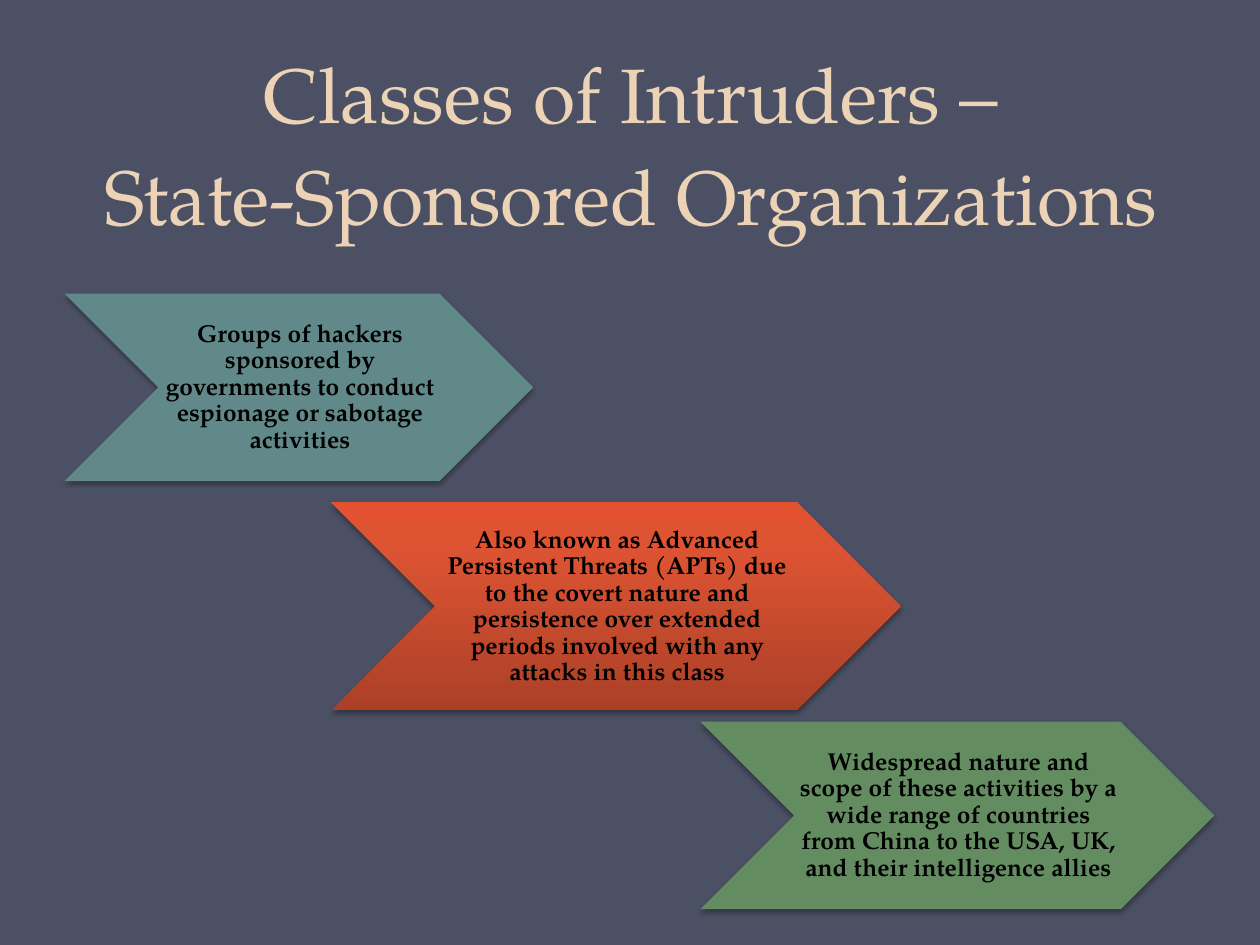
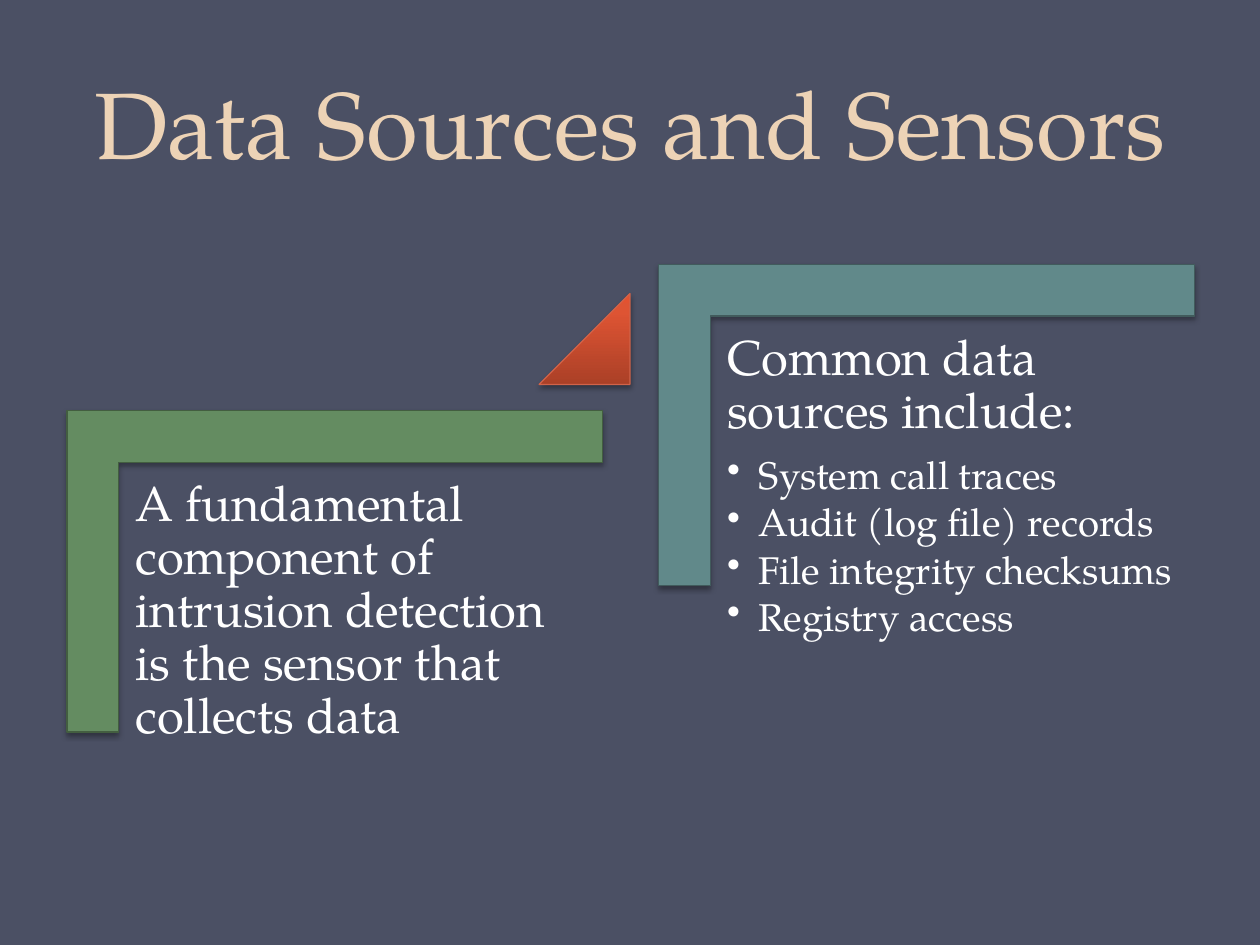
from copy import deepcopy

from lxml.etree import SubElement
from pptx import Presentation
from pptx.dml.color import RGBColor
from pptx.enum.shapes import MSO_SHAPE
from pptx.enum.text import MSO_ANCHOR, PP_ALIGN
from pptx.oxml.ns import qn
from pptx.util import Cm, Pt

FONT = "TeX Gyre Pagella"
HUES = {
    "back": "4B5064",
    "title": "EDD3B6",
    "teal": "61898A",
    "teal edge": "415B5C",
    "green": "648C61",
    "green edge": "435E40",
    "red edge": "D16349",
    "black": "000000",
    "white": "FFFFFF",
}
REDS = [(0, "AB4027"), (0.8, "DE5433"), (1, "E35230")]


def hue(name):
    return RGBColor.from_string(HUES[name])


def style(para, size, color, bold=False):
    font = para.font
    font.name, font.size, font.bold = FONT, Pt(size), bold
    font.color.rgb = hue(color)


def inset(frame, left, top, right, base):
    frame.margin_left, frame.margin_top = Cm(left), Cm(top)
    frame.margin_right, frame.margin_bottom = Cm(right), Cm(base)
    frame.word_wrap = True


def shade(shape):
    shape.shadow.inherit = False
    glow = SubElement(
        shape._element.spPr.find(qn("a:effectLst")), qn("a:outerShdw"),
        blurRad=str(Pt(3.1)), dist=str(Pt(1.8)), dir="5400000", rotWithShape="0")
    tint = SubElement(glow, qn("a:srgbClr"), val=HUES["black"])
    SubElement(tint, qn("a:alpha"), val="35000")


def blend(shape):
    fill = shape.fill
    fill.gradient()
    fill.gradient_angle = 90
    stops = shape._element.spPr.find(".//" + qn("a:gsLst"))
    stops.append(deepcopy(stops[-1]))
    for stop, (place, color) in zip(fill.gradient_stops, REDS):
        stop.position = place
        stop.color.rgb = RGBColor.from_string(color)


def draw(slide, kind, box, color, edge=None):
    shape = slide.shapes.add_shape(kind, *map(Cm, box))
    if color == "red":
        blend(shape)
    else:
        shape.fill.solid()
        shape.fill.fore_color.rgb = hue(color)
    if edge:
        shape.line.color.rgb = hue(edge)
        shape.line.width = Pt(0.75)
    else:
        shape.line.fill.background()
    shade(shape)
    return shape


def start(deck, text, box, size):
    slide = deck.slides.add_slide(deck.slide_layouts[5])
    title = slide.shapes.title
    title.left, title.top, title.width, title.height = map(Cm, box)
    frame = title.text_frame
    frame.text = text
    frame.word_wrap = True
    frame.vertical_anchor = MSO_ANCHOR.BOTTOM
    para = frame.paragraphs[0]
    para.alignment = PP_ALIGN.CENTER
    para.line_spacing = Pt(58)
    style(para, size, "title")
    return slide


def arrow(slide, box, color, text):
    frame = draw(slide, MSO_SHAPE.CHEVRON, box, color).text_frame
    inset(frame, 0.05, 0.03, 0, 0.03)
    frame.vertical_anchor = MSO_ANCHOR.MIDDLE
    para = frame.paragraphs[0]
    para.text = text
    para.alignment = PP_ALIGN.CENTER
    para.line_spacing = 0.9
    style(para, 14, "black", True)


def panel(slide, box, color, head, items=()):
    left, top, width, height = box
    turn = (width - height) / 2
    frame_box = (left + turn, top - turn, height, width)
    bar = draw(slide, MSO_SHAPE.CORNER, frame_box, color, color + " edge")
    bar.rotation = 90
    bar.adjustments[0] = bar.adjustments[1] = 0.161

    gap = 1.08
    area = (left + gap, top + gap, width - gap + 0.03, 8.53)
    frame = slide.shapes.add_textbox(*map(Cm, area)).text_frame
    inset(frame, 0.3, 0.3, 0.3, 0.3)
    para = frame.paragraphs[0]
    para.text = head
    para.line_spacing = 0.9
    para.space_after = Pt(10)
    style(para, 28, "white")
    for item in items:
        para = frame.add_paragraph()
        para.text = item
        para.level = 1
        para.line_spacing = 0.9
        para.space_after = Pt(3.3)
        props = para._p.get_or_add_pPr()
        props.set("marL", str(Cm(0.64)))
        props.set("indent", str(-Cm(0.64)))
        SubElement(props, qn("a:buChar"), char="•")
        style(para, 22, "white")


def classes(deck):
    slide = start(deck, "Classes of Intruders –\vState-Sponsored Organizations",
                  (1.3, 0.53, 22.86, 4.45), 44)
    arrow(slide, (1.3, 5.92, 9.45, 3.78), "teal",
          "Groups of hackers sponsored by governments to conduct "
          "espionage or sabotage activities")
    arrow(slide, (6.68, 10.13, 11.48, 4.19), "red",
          "Also known as Advanced Persistent Threats (APTs) due to the covert "
          "nature and persistence over extended periods involved with any "
          "attacks in this class")
    arrow(slide, (14.12, 14.55, 10.36, 3.78), "green",
          "Widespread nature and scope of these activities by a wide range of "
          "countries from China to the USA, UK, and their intelligence allies")


def sources(deck):
    slide = start(deck, "Data Sources and Sensors", (1.27, 0, 22.86, 3.73), 54)
    panel(slide, (1.35, 8.28, 10.8, 6.48), "green",
          "A fundamental component of intrusion detection is the sensor "
          "that collects data")
    step = draw(slide, MSO_SHAPE.ISOSCELES_TRIANGLE,
                (10.87, 5.92, 1.83, 1.83), "red", "red edge")
    step.adjustments[0] = 1
    panel(slide, (13.28, 5.33, 10.8, 6.48), "teal",
          "Common data sources include:",
          ["System call traces", "Audit (log file) records",
           "File integrity checksums", "Registry access"])


def main():
    deck = Presentation()
    deck.slide_width, deck.slide_height = Cm(25.4), Cm(19.05)
    fill = deck.slide_master.background.fill
    fill.solid()
    fill.fore_color.rgb = hue("back")
    classes(deck)
    sources(deck)
    deck.save("out.pptx")


if __name__ == "__main__":
    main()
